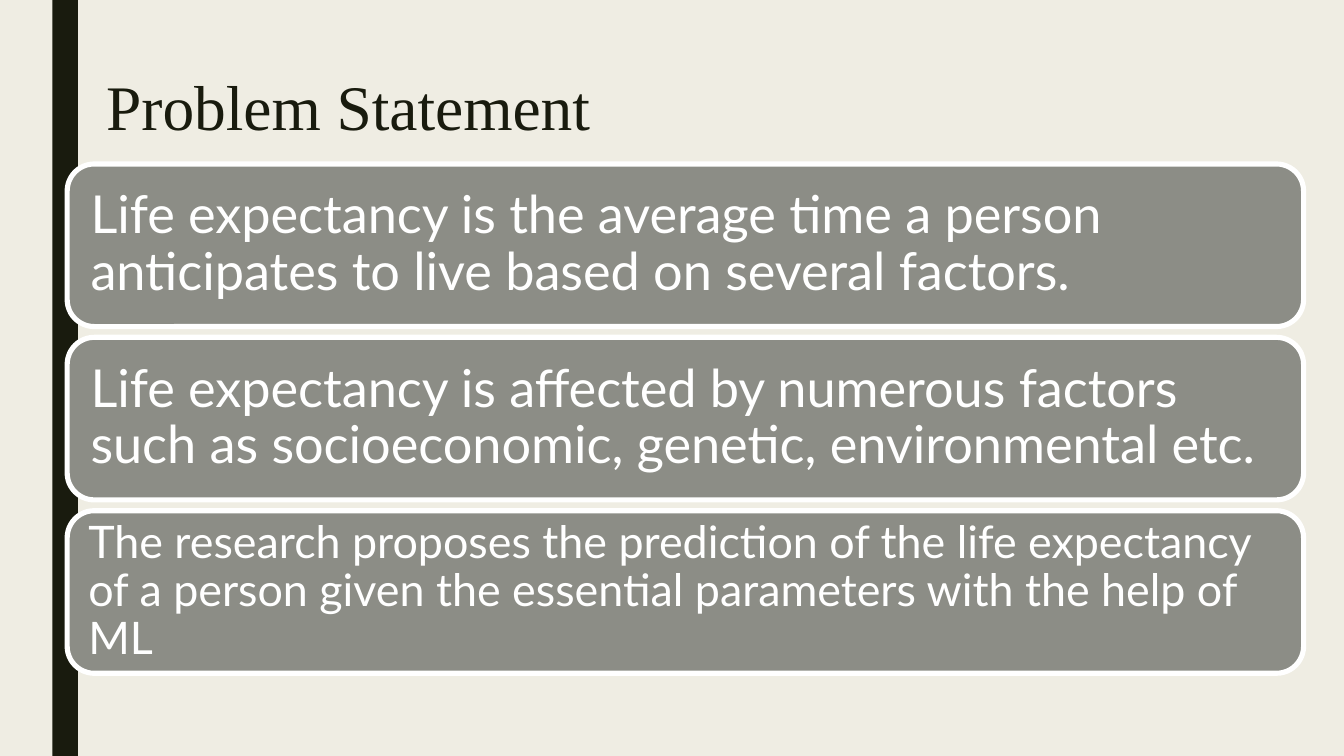
from dataclasses import dataclass

from pptx import Presentation
from pptx.dml.color import RGBColor
from pptx.enum.shapes import MSO_SHAPE as Preset
from pptx.enum.text import MSO_ANCHOR as Anchor, MSO_AUTO_SIZE as AutoSize, PP_ALIGN as Align
from pptx.util import Pt

HEADING = "Problem Statement"
STATEMENTS = [
    ("Life expectancy is the average time a person anticipates to live "
     "based on several factors.", 28, 23),
    ("Life expectancy is affected by numerous factors such as socioeconomic, "
     "genetic, environmental etc.", 28, 23),
    ("The research proposes the prediction of the life expectancy of a person "
     "given the essential parameters with the help of ML", 24, 20),
]


@dataclass(frozen=True)
class Theme:
    background: str = "EFEDE3"
    ink: str = "191B0E"
    card: str = "8C8D86"
    light: str = "FFFFFF"
    heading_font: str = "Times New Roman"
    body_font: str = "Lato"
    heading_size: int = 34
    outline: float = 2.75


THEME = Theme()
EMU_PER_PX = 4572
SLIDE_W, SLIDE_H = 2000, 1125
STRIPE = (78, 0, 38, SLIDE_H)
HEADING_BOX = (138, -1, 1900, 234)
CARD_X, CARD_Y, CARD_W, CARD_H, CARD_GAP = 100, 244, 1840, 242, 16


def px(length):
    return length * EMU_PER_PX


def paint(fill, color):
    fill.solid()
    fill.fore_color.rgb = RGBColor.from_string(color)


def add_block(slide, preset, box, color):
    block = slide.shapes.add_shape(preset, *map(px, box))
    block.shadow.inherit = False
    paint(block.fill, color)
    block.line.fill.background()
    return block


def write(frame, text, font, size, color, anchor, inset):
    frame.text = text
    frame.word_wrap = True
    frame.auto_size = AutoSize.NONE
    frame.vertical_anchor = anchor
    frame.margin_left = frame.margin_right = px(inset)
    frame.margin_top = frame.margin_bottom = px(inset)
    paragraph = frame.paragraphs[0]
    paragraph.alignment = Align.LEFT
    paragraph.font.name = font
    paragraph.font.size = Pt(size)
    paragraph.font.color.rgb = RGBColor.from_string(color)
    return paragraph


def add_heading(slide):
    heading = slide.shapes.title
    heading.left, heading.top, heading.width, heading.height = map(px, HEADING_BOX)
    write(heading.text_frame, HEADING, THEME.heading_font, THEME.heading_size,
          THEME.ink, Anchor.BOTTOM, 20)


def add_statement(slide, row, text, size, inset):
    top = CARD_Y + row * (CARD_H + CARD_GAP)
    card = add_block(slide, Preset.ROUNDED_RECTANGLE,
                     (CARD_X, top, CARD_W, CARD_H), THEME.card)
    paint(card.line.fill, THEME.light)
    card.line.width = Pt(THEME.outline)
    statement = write(card.text_frame, text, THEME.body_font, size,
                      THEME.light, Anchor.MIDDLE, inset)
    statement.line_spacing = 0.9


def main():
    deck = Presentation()
    deck.slide_width, deck.slide_height = px(SLIDE_W), px(SLIDE_H)
    slide = deck.slides.add_slide(deck.slide_layouts[5])
    paint(slide.background.fill, THEME.background)
    add_block(slide, Preset.RECTANGLE, STRIPE, THEME.ink)
    add_heading(slide)
    for row, (text, size, inset) in enumerate(STATEMENTS):
        add_statement(slide, row, text, size, inset)
    deck.save("out.pptx")


if __name__ == "__main__":
    main()
